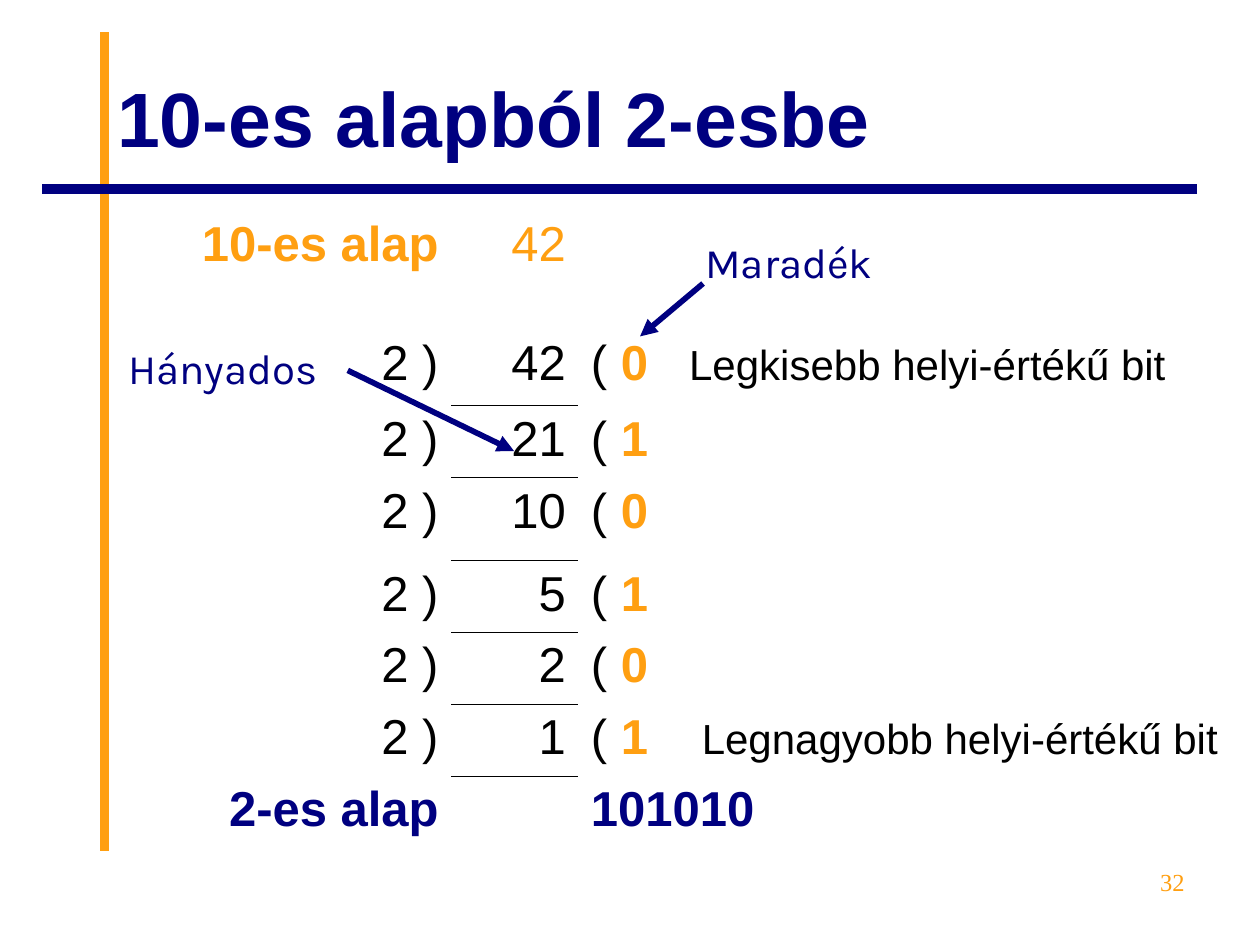
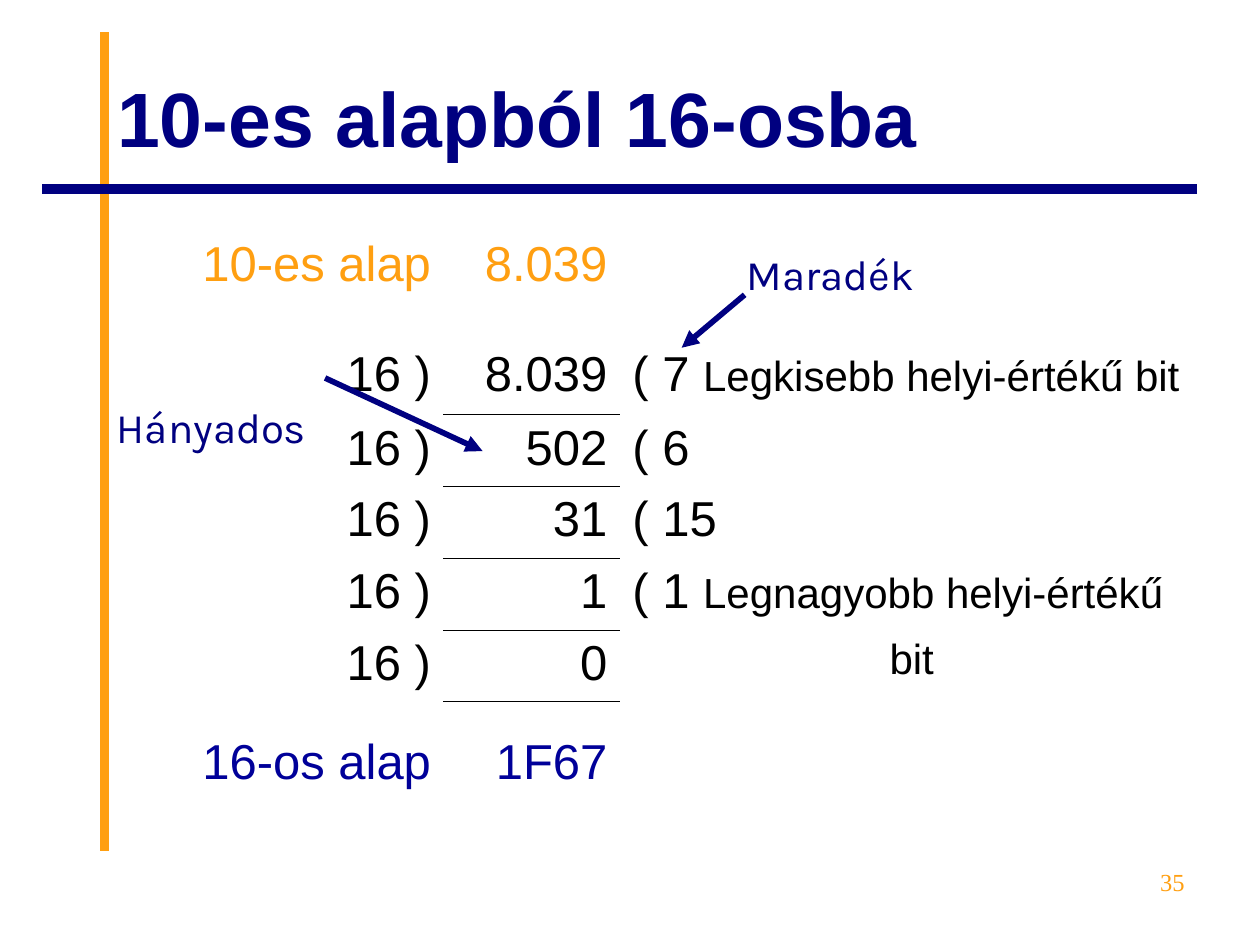
from typing import NamedTuple

from lxml.etree import SubElement
from pptx import Presentation
from pptx.dml.color import RGBColor
from pptx.enum.shapes import MSO_CONNECTOR
from pptx.enum.text import MSO_ANCHOR, MSO_AUTO_SIZE, PP_ALIGN
from pptx.oxml.ns import qn
from pptx.util import Emu, Pt

PX = 9144
COLORS = {"navy": "000080", "blue": "000099", "orange": "FF9F11", "black": "000000"}
FORMATS = {
    "title": {"name": "Arial", "size": Pt(44), "bold": True, "color": "navy"},
    "plain": {"name": "Arial", "size": Pt(28), "bold": False, "color": "black"},
    "note": {"name": "Arial", "size": Pt(24), "bold": False, "color": "black"},
    "source": {"name": "Arial", "size": Pt(28), "bold": False, "color": "orange"},
    "strong": {"name": "Arial", "size": Pt(28), "bold": True, "color": "orange"},
    "result": {"name": "Arial", "size": Pt(28), "bold": False, "color": "blue"},
    "strong result": {"name": "Arial", "size": Pt(28), "bold": True, "color": "navy"},
    "callout": {"name": "Karla", "size": Pt(24), "bold": False, "color": "navy"},
    "number": {"name": "Times New Roman", "size": Pt(14), "bold": False, "color": "orange"},
}
NO_GRID = "{2D5ABB26-0587-4C30-8999-92F81FD0307C}"
LOWEST_BIT = "Legkisebb helyi-értékű bit"


class Cell(NamedTuple):
    """Runs of a table cell with the layout of their paragraph."""
    runs: tuple = ()
    tab: int = 0
    indent: int = 0
    spacing: float = 1.0


def px(length):
    """Turn px into EMU."""
    return Emu(length * PX)


def rgb(color):
    """Look up a named colour."""
    return RGBColor.from_string(COLORS[color])


def write(paragraph, text, style):
    """Append a run in one of the shared formats."""
    run = paragraph.add_run()
    run.text = text
    for attribute, value in FORMATS[style].items():
        if attribute == "color":
            run.font.color.rgb = rgb(value)
        else:
            setattr(run.font, attribute, value)


def add_line(shapes, start, end, color, width, arrow=False):
    """Draw a straight line, with an arrowhead at its end if asked."""
    line = shapes.add_connector(MSO_CONNECTOR.STRAIGHT, *map(px, start + end))
    line.line.color.rgb = rgb(color)
    line.line.width = Pt(width)
    if arrow:
        SubElement(line.line._get_or_add_ln(), qn("a:tailEnd"), type="triangle")
    SubElement(line._element.spPr, qn("a:effectLst"))


def add_label(shapes, box, text, style, align=PP_ALIGN.LEFT):
    """Place one line of text in a box."""
    label = shapes.add_textbox(*map(px, box))
    label.text_frame.word_wrap = True
    paragraph = label.text_frame.paragraphs[0]
    paragraph.alignment = align
    write(paragraph, text, style)


def add_frame(deck, heading, number):
    """Start a slide with its crossing rules, title and number."""
    slide = deck.slides.add_slide(deck.slide_layouts[5])
    add_line(slide.shapes, (83, 675), (83, 25), "orange", 5.5)
    add_line(slide.shapes, (950, 150), (33, 150), "navy", 5.5)
    title = slide.shapes.title
    for edge, length in zip(("left", "top", "width", "height"), (83, 30, 867, 125)):
        setattr(title, edge, px(length))
    frame = title.text_frame
    frame_format = {"word_wrap": True, "auto_size": MSO_AUTO_SIZE.NONE,
                    "vertical_anchor": MSO_ANCHOR.MIDDLE}
    for attribute, value in frame_format.items():
        setattr(frame, attribute, value)
    frame.paragraphs[0].alignment = PP_ALIGN.LEFT
    write(frame.paragraphs[0], heading, "title")
    add_label(slide.shapes, (717, 683, 233, 52), number, "number", PP_ALIGN.RIGHT)
    return slide


def add_callout(slide, text, box, start, end):
    """Group a label with an arrow given relative to the label's corner."""
    shapes = slide.shapes.add_group_shape().shapes
    left, top = box[:2]
    add_label(shapes, box, text, "callout")
    add_line(shapes, (left + start[0], top + start[1]), (left + end[0], top + end[1]),
             "navy", 3.25, arrow=True)


def add_remainder_callout(slide, left, top):
    """Point from the remainder label down to the first remainder."""
    add_callout(slide, "Maradék", (left, top, 200, 50), (8, 42), (-42, 84))


def add_border(cell, side):
    """Draw a hairline on one side of a cell."""
    border = SubElement(cell._tc.get_or_add_tcPr(), qn(f"a:{side}"), w="5715")
    fill = SubElement(border, qn("a:solidFill"))
    SubElement(fill, qn("a:srgbClr"), val=COLORS["black"])


def fill_cell(cell, content, align):
    """Write a cell's runs with its tab stop, indent and line spacing."""
    paragraph = cell.text_frame.paragraphs[0]
    properties = paragraph._p.get_or_add_pPr()
    if content.indent:
        properties.set("marL", str(px(content.indent)))
    if content.tab:
        tabs = SubElement(properties, qn("a:tabLst"))
        SubElement(tabs, qn("a:tab"), pos=str(px(content.tab)), algn="l")
    paragraph.alignment = align
    paragraph.line_spacing = content.spacing
    for text, style in content.runs:
        write(paragraph, text, style)
    if not content.runs:
        SubElement(paragraph._p, qn("a:endParaRPr"), sz="1200")
    cell.fill.background()


def add_division(slide, corner, widths, heights, rows, ruled):
    """Lay out the division ladder, ruling under the given quotient rows."""
    table = slide.shapes.add_table(len(rows), len(widths), *map(px, corner),
                                   px(sum(widths)), px(sum(heights))).table
    table.first_row = table.horz_banding = False
    table._tbl.tblPr.find(qn("a:tableStyleId")).text = NO_GRID
    for column, width in zip(table.columns, widths):
        column.width = px(width)
    for row, height in zip(table.rows, heights):
        row.height = px(height)
    for index in ruled:
        add_border(table.cell(index + 1, 1), "lnT")
    for index in ruled:
        add_border(table.cell(index, 1), "lnB")
    aligns = (PP_ALIGN.RIGHT, PP_ALIGN.RIGHT, PP_ALIGN.LEFT)
    for index, row in enumerate(rows):
        for column, (content, align) in enumerate(zip(row, aligns)):
            fill_cell(table.cell(index, column), content, align)


def text_cell(text, style="plain", spacing=1.0):
    """Make a cell of a single run."""
    return Cell(((text, style),), spacing=spacing)


def build_binary(deck):
    """Show 42 converted to base two."""
    slide = add_frame(deck, "10-es alapból 2-esbe", "32")
    notes = {"42": ("\t" + LOWEST_BIT, 78), "1": ("\tLegnagyobb helyi-értékű bit", 88)}
    rows = [(text_cell("10-es alap", "strong"), text_cell("42", "source"), Cell()),
            (Cell(),) * 3]
    for quotient, bit in zip(("42", "21", "10", "5", "2", "1"), "010101"):
        runs = (("( ", "plain"), (bit, "strong"))
        tab = 0
        if quotient in notes:
            note, tab = notes[quotient]
            runs += ((note, "note"),)
        rows.append((text_cell("2 )"), text_cell(quotient), Cell(runs, tab)))
    rows.append((text_cell("2-es alap", "strong result"), Cell(),
                 text_cell("101010", "strong result")))
    add_division(slide, (100, 167), (258, 101, 524),
                 (57, 38, 60, 57, 66, 57, 57, 57, 57), rows, range(2, 8))
    add_remainder_callout(slide, 550, 183)
    add_callout(slide, "Hányados", (92, 267, 185, 50), (184, 27), (316, 91))


def build_hexadecimal(deck):
    """Show 8.039 converted to base sixteen."""
    slide = add_frame(deck, "10-es alapból 16-osba", "35")
    first = Cell((("( 7 ", "plain"), (LOWEST_BIT, "note")), spacing=1.5)
    last = Cell((("( 1 ", "plain"), ("Legnagyobb helyi-értékű", "note")))
    steps = (("8.039", first), ("502", text_cell("( 6")), ("31", text_cell("( 15")),
             ("1", last), ("0", Cell((("bit", "note"),), indent=204)))
    rows = [(text_cell("10-es alap", "source"), text_cell("8.039", "source"), Cell())]
    rows += [(text_cell("16 )", spacing=remainder.spacing),
              text_cell(quotient, spacing=remainder.spacing), remainder)
             for quotient, remainder in steps]
    rows.append((text_cell("16-os alap", "result", 1.5),
                 text_cell("1F67", "result", 1.5), Cell()))
    add_division(slide, (100, 183), (252, 140, 475),
                 (66, 80, 57, 57, 57, 57, 91), rows, range(1, 5))
    add_callout(slide, "Hányados", (83, 314, 175, 50), (175, -14), (300, 44))
    add_remainder_callout(slide, 583, 192)


def main():
    """Build and save the deck."""
    deck = Presentation()
    deck.slide_width, deck.slide_height = px(1000), px(750)
    build_binary(deck)
    build_hexadecimal(deck)
    deck.save("out.pptx")


if __name__ == "__main__":
    main()
